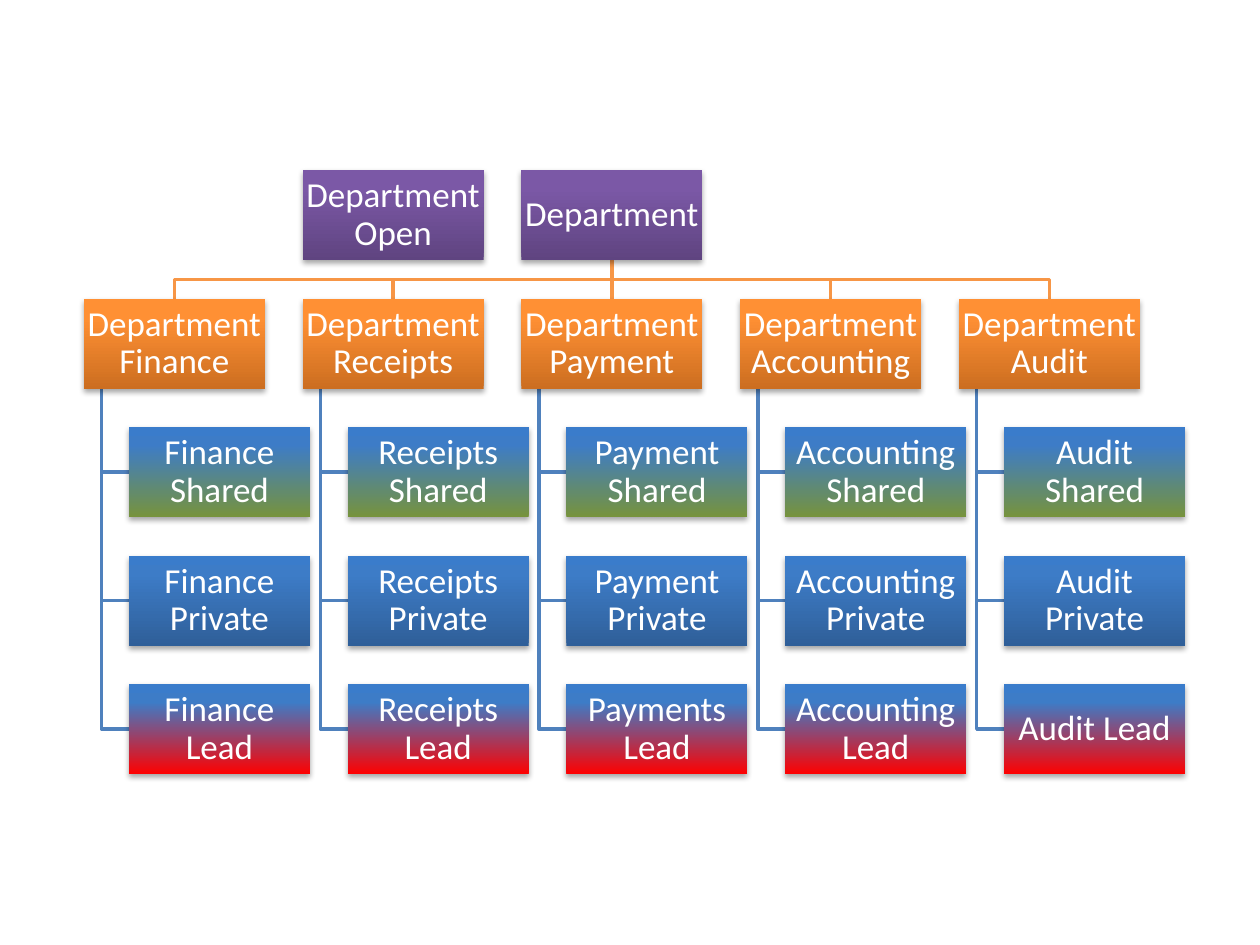
"""Draw a department organisation chart with shared, private and lead teams."""
from dataclasses import dataclass

from lxml.etree import SubElement
from pptx import Presentation
from pptx.dml.color import RGBColor
from pptx.enum.shapes import MSO_CONNECTOR, MSO_SHAPE
from pptx.enum.text import MSO_ANCHOR, PP_ALIGN
from pptx.oxml import parse_xml
from pptx.oxml.ns import qn
from pptx.util import Cm, Pt

NS = 'xmlns:a="http://schemas.openxmlformats.org/drawingml/2006/main"'
LEFT, TOP = 1.69, 3.43
WIDE, HIGH = 3.65, 1.82
STEP, DROP = 4.41, 2.59
INDENT, STEM = 0.91, 0.36
BLUE, ORANGE = "4F81BD", "F79646"


@dataclass
class Tone:
    low: str
    mid: str
    high: str


@dataclass
class Box:
    text: str
    x: float
    row: int
    tone: Tone

    @property
    def y(self) -> float:
        return TOP + self.row * DROP

    @property
    def mid(self) -> float:
        return self.x + WIDE / 2


HEAD = Tone("5F4480", "7B58A6", "7C57A8")
UNIT = Tone("CC6E20", "FF9034", "FF9136")
SHARED, PRIVATE, LEAD = (
    Tone(low, "3D7CC7", "3A7CCB") for low in ("77933C", "2F5F99", "FF0000"))

UNITS = {
    "Finance": ("Finance Shared", "Finance Private", "Finance Lead"),
    "Receipts": ("Receipts Shared", "Receipts Private", "Receipts Lead"),
    "Payment": ("Payment Shared", "Payment Private", "Payments Lead"),
    "Accounting": ("Accounting Shared", "Accounting Private", "Accounting Lead"),
    "Audit": ("Audit Shared", "Audit Private", "Audit Lead"),
}


def paint(color: str) -> RGBColor:
    return RGBColor.from_string(color)


def link(shapes, points: list, color: str) -> None:
    spots = [(Cm(x), Cm(y)) for x, y in points]
    if len({x for x, _ in spots}) == 1:
        shape = shapes.add_connector(
            MSO_CONNECTOR.STRAIGHT, *spots[0], *spots[-1])
        SubElement(shape._element.spPr, qn("a:effectLst"))
    else:
        path = shapes.build_freeform(*spots[0])
        path.add_line_segments(spots[1:], close=False)
        shape = path.convert_to_shape()
        shape.fill.background()
        shape.shadow.inherit = False
    shape.line.color.rgb = paint(color)
    shape.line.width = Pt(2)


def shade(shape, tone: Tone) -> None:
    stops = "".join(
        f'<a:gs pos="{pos}"><a:srgbClr val="{color}"/></a:gs>'
        for pos, color in ((0, tone.low), (80000, tone.mid), (100000, tone.high)))
    shape.line.fill.background()
    shape.shadow.inherit = False
    props = shape._element.spPr
    props.find(qn("a:ln")).addprevious(parse_xml(
        f'<a:gradFill {NS} rotWithShape="1"><a:gsLst>{stops}</a:gsLst>'
        '<a:lin ang="16200000" scaled="0"/></a:gradFill>'))
    props.find(qn("a:effectLst")).append(parse_xml(
        f'<a:outerShdw {NS} blurRad="40000" dist="23000" dir="5400000" '
        'rotWithShape="0"><a:srgbClr val="000000"><a:alpha val="35000"/>'
        '</a:srgbClr></a:outerShdw>'))


def write(shape, text: str, *, size: float = 20, color: str = "FFFFFF",
          font: str = "Calibri", inset: float = 0.03) -> None:
    frame = shape.text_frame
    frame.word_wrap = True
    frame.vertical_anchor = MSO_ANCHOR.MIDDLE
    frame.margin_left = frame.margin_right = Cm(inset)
    frame.margin_top = frame.margin_bottom = Cm(inset)
    para = frame.paragraphs[0]
    para.alignment = PP_ALIGN.CENTER
    para.line_spacing = 0.9
    run = para.add_run()
    run.text = text
    run.font.size = Pt(size)
    run.font.name = font
    run.font.color.rgb = paint(color)


def draw(shapes, box: Box) -> None:
    shape = shapes.add_shape(
        MSO_SHAPE.RECTANGLE, Cm(box.x), Cm(box.y), Cm(WIDE), Cm(HIGH))
    shade(shape, box.tone)
    write(shape, box.text)


def main() -> None:
    deck = Presentation()
    deck.slide_width, deck.slide_height = Cm(25.4), Cm(19.05)
    shapes = deck.slides.add_slide(deck.slide_layouts[6]).shapes

    root = Box("Department", LEFT + 2 * STEP, 0, HEAD)
    boxes = [Box("Department Open", LEFT + STEP, 0, HEAD), root]
    base = root.y + HIGH
    for col, (name, teams) in enumerate(UNITS.items()):
        unit = Box(f"Department {name}", LEFT + col * STEP, 1, UNIT)
        boxes.append(unit)
        bend = (base + unit.y) / 2
        link(shapes, [(root.mid, base), (root.mid, bend),
                      (unit.mid, bend), (unit.mid, unit.y)], ORANGE)
        stem = unit.x + STEM
        for row, (team, tone) in enumerate(
                zip(teams, (SHARED, PRIVATE, LEAD)), start=2):
            box = Box(team, unit.x + INDENT, row, tone)
            boxes.append(box)
            half = box.y + HIGH / 2
            link(shapes, [(stem, unit.y + HIGH), (stem, half),
                          (box.x, half)], BLUE)
    for box in boxes:
        draw(shapes, box)
    deck.save("out.pptx")


main()
